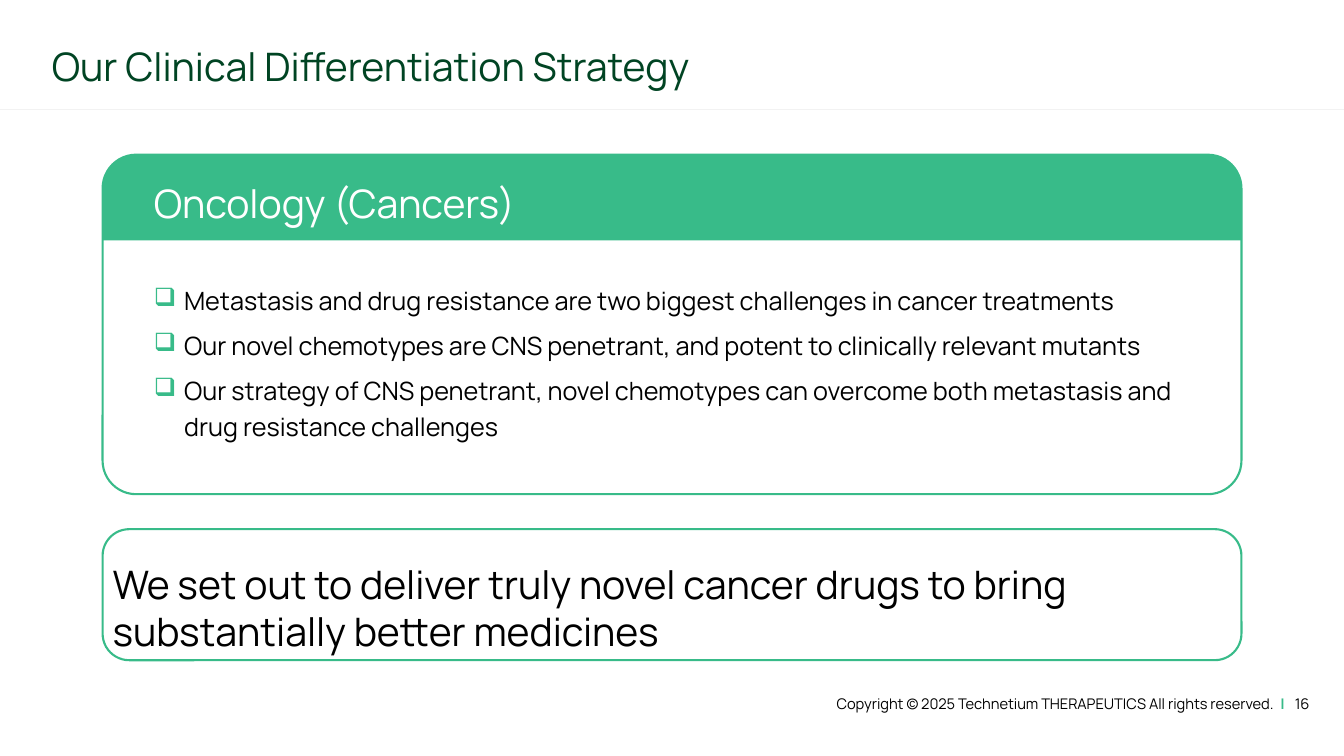
import dataclasses

import pptx
import pptx.dml.color
import pptx.enum.shapes
import pptx.enum.text
import pptx.oxml
import pptx.oxml.ns
import pptx.util
from lxml import etree

Pt = pptx.util.Pt
SHAPES = pptx.enum.shapes.MSO_SHAPE
ANCHOR = pptx.enum.text.MSO_ANCHOR
ALIGN = pptx.enum.text.PP_ALIGN


@dataclasses.dataclass(frozen=True)
class Theme:
    font: str = "Manrope"
    heading: str = "004423"
    accent: str = "38BB89"
    text: str = "000000"
    white: str = "FFFFFF"
    rule: str = "F2F2F2"
    large: float = 28
    body: float = 18
    small: float = 10.5


THEME = Theme()
WIDTH, HEIGHT = 960, 540


def rgb(value):
    return pptx.dml.color.RGBColor.from_string(value)


def apply(target, formats):
    for name, value in formats.items():
        setattr(target, name, value)


def add_run(paragraph, text, size, color, bold=False):
    run = paragraph.add_run()
    run.text = text
    apply(run.font, {"name": THEME.font, "size": Pt(size), "bold": bold})
    run.font.color.rgb = rgb(color)
    return run


def add_text_box(slide, box, anchor=ANCHOR.TOP):
    frame = slide.shapes.add_textbox(*map(Pt, box)).text_frame
    apply(frame, {"word_wrap": True, "vertical_anchor": anchor})
    return frame


def add_panel(slide, kind, box, adjustments, fill=None, line=None):
    shape = slide.shapes.add_shape(kind, *map(Pt, box))
    shape.shadow.inherit = False
    for index, value in enumerate(adjustments):
        shape.adjustments[index] = value
    if fill:
        shape.fill.solid()
        shape.fill.fore_color.rgb = rgb(fill)
    else:
        shape.fill.background()
    if line:
        shape.line.color.rgb = rgb(line)
        shape.line.width = Pt(1.5)
    else:
        shape.line.fill.background()


def add_bullet(paragraph, character, color):
    properties = paragraph._p.get_or_add_pPr()
    for name, value in {"marL": 21.6, "indent": -21.6}.items():
        properties.set(name, str(Pt(value)))
    qn = pptx.oxml.ns.qn
    bullet_color = etree.SubElement(properties, qn("a:buClr"))
    etree.SubElement(bullet_color, qn("a:srgbClr")).set("val", color)
    etree.SubElement(properties, qn("a:buChar")).set("char", character)


def add_header(slide, box, title):
    left, top, width, height = box
    # Rule under the header
    rule = slide.shapes.add_connector(
        pptx.enum.shapes.MSO_CONNECTOR.STRAIGHT,
        Pt(left), Pt(top + height), Pt(left + width), Pt(top + height))
    rule.line.color.rgb = rgb(THEME.rule)
    rule.line.width = Pt(0.75)
    etree.SubElement(rule._element.spPr, pptx.oxml.ns.qn("a:effectLst"))
    # Title
    frame = add_text_box(slide, (left + 30, top + 19.5, 703, 59), ANCHOR.MIDDLE)
    paragraph = frame.paragraphs[0]
    paragraph.line_spacing = 0.9
    add_run(paragraph, title, THEME.large, THEME.heading)


def add_strategy_card(slide, box, heading, points):
    left, top, width, height = box
    # Outline and heading band
    add_panel(slide, SHAPES.ROUNDED_RECTANGLE, box, [0.099], line=THEME.accent)
    add_panel(slide, SHAPES.ROUND_2_SAME_RECTANGLE, (left, top, width, 61.2),
              [0.377, 0], fill=THEME.accent)
    frame = add_text_box(slide, (left + 29.5, top + 14.4, 637, 41))
    add_run(frame.paragraphs[0], heading, THEME.large, THEME.white)
    # Bulleted points
    frame = add_text_box(slide, (left + 29.5, top + 85.7, width - 54, 121.7))
    for index, point in enumerate(points):
        paragraph = frame.add_paragraph() if index else frame.paragraphs[0]
        add_bullet(paragraph, "❑", THEME.accent)
        apply(paragraph, {"line_spacing": 1.2,
                          "space_before": Pt(6 if index else 0)})
        add_run(paragraph, point, THEME.body, THEME.text)


def add_mission(slide, box, statement):
    left, top, width, height = box
    add_panel(slide, SHAPES.ROUNDED_RECTANGLE, box, [0.203], line=THEME.accent)
    frame = add_text_box(slide, (left, top + 18.7, width - 8, height - 18.7))
    add_run(frame.paragraphs[0], statement, THEME.large, THEME.text)


def add_footer(slide, box, notice, number):
    paragraph = add_text_box(slide, box, ANCHOR.MIDDLE).paragraphs[0]
    paragraph.alignment = ALIGN.RIGHT
    add_run(paragraph, notice, THEME.small, THEME.text)
    bar = add_run(paragraph, " | ", THEME.small, THEME.accent, bold=True)
    bar._r.get_or_add_rPr().set("spc", "250")  # widen the gaps around the bar
    add_run(paragraph, number, THEME.small, THEME.text)


def main():
    presentation = pptx.Presentation()
    apply(presentation, {"slide_width": Pt(WIDTH), "slide_height": Pt(HEIGHT)})
    slide = presentation.slides.add_slide(presentation.slide_layouts[6])

    add_header(slide, (0, 0, WIDTH, 78), "Our Clinical Differentiation Strategy")
    add_footer(slide, (541.5, 484, 401, 37.5),
               "Copyright © 2025 Technetium THERAPEUTICS All rights reserved.", "16")
    add_strategy_card(slide, (73.3, 110.5, 813.5, 242.5), "Oncology (Cancers)", [
        "Metastasis and drug resistance are two biggest challenges in cancer treatments",
        "Our novel chemotypes are CNS penetrant, and potent to clinically relevant mutants",
        "Our strategy of CNS penetrant, novel chemotypes can overcome both metastasis "
        "and drug resistance challenges",
    ])
    add_mission(slide, (73.3, 378, 813.5, 93.6),
                "We set out to deliver truly novel cancer drugs to bring "
                "substantially better medicines")
    presentation.save("out.pptx")


if __name__ == "__main__":
    main()
